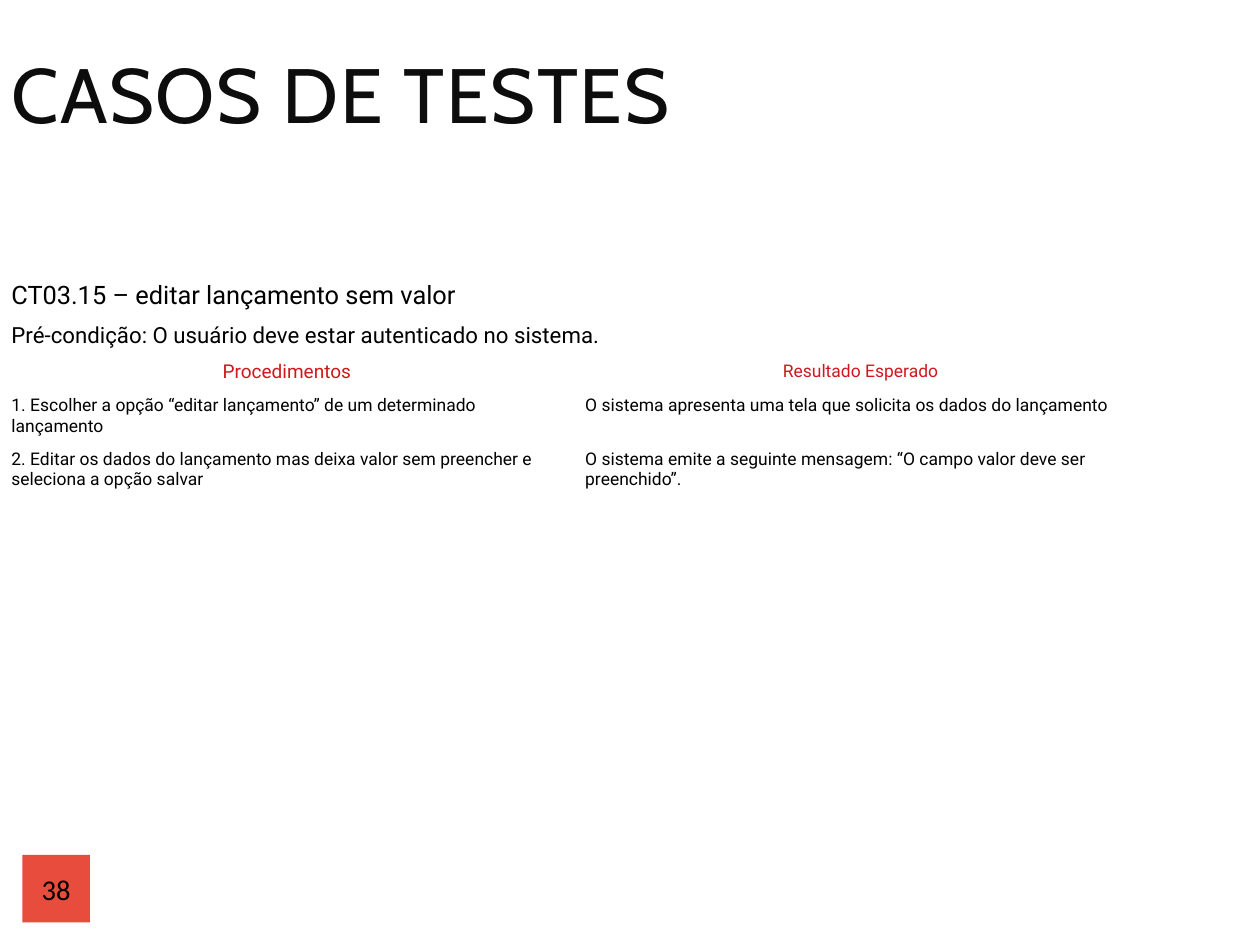
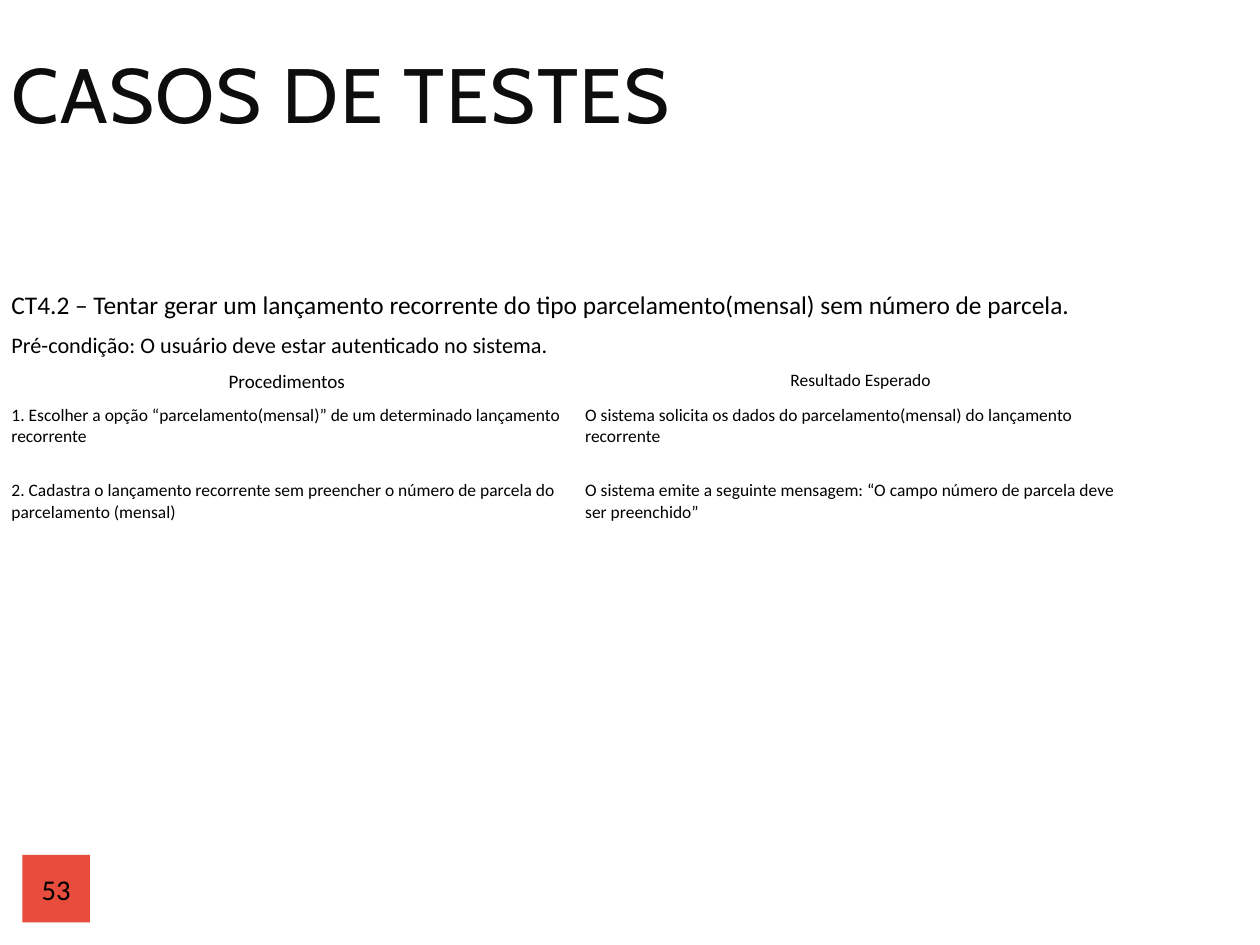
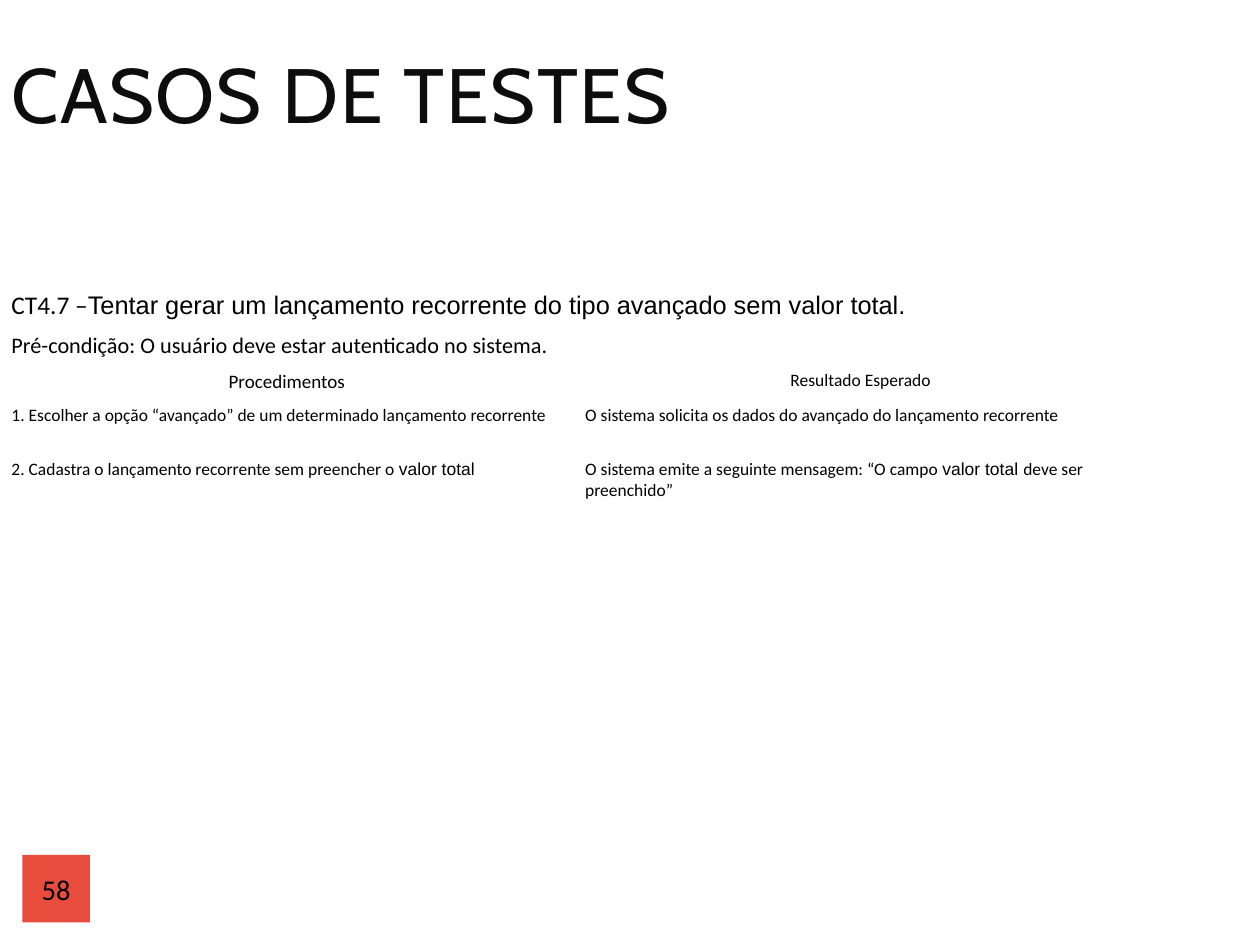
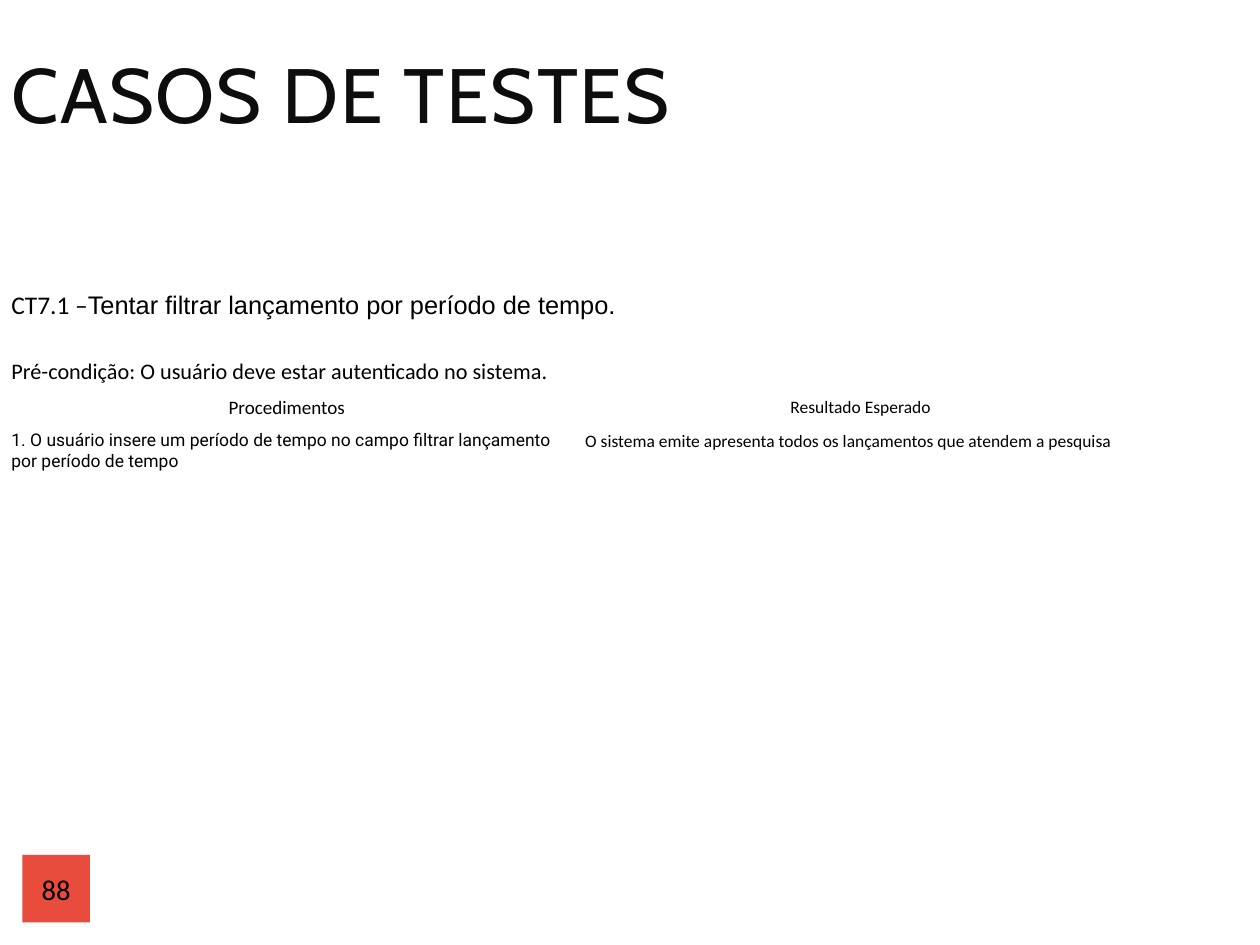
import pptx
import pptx.dml.color
import pptx.enum.shapes
import pptx.enum.text
import pptx.util

Cm, Pt = pptx.util.Cm, pptx.util.Pt
ALIGN = pptx.enum.text.PP_ALIGN
MIDDLE = pptx.enum.text.MSO_ANCHOR.MIDDLE

COLORS = {"badge": "E74C3C", "title": "0D0D0D", "text": "000000", "accent": "CE181E"}
TITLE = "CASOS DE TESTES"
PRECONDITION = "Pré-condição: O usuário deve estar autenticado no sistema."
HEADERS = [("Procedimentos", 12), ("Resultado Esperado", 11)]

# Boxes in cm: left, top, width, height
TITLE_BOX = (0, 1, 26, 2.5)
BADGE_BOX = (0.5, 19, 1.5, 1.5)
TABLE_LEFT, TABLE_WIDTH = 0, 25.5
PRECONDITION_HEIGHT, HEADER_HEIGHT = 0.8, 0.75

# Text is a list of (text, font) runs; a plain string takes the font of its case.
# Each step is (procedure, expected result, row height in cm).
CASES = [
    {"number": "38", "font": "Roboto", "header_color": "accent",
     "top": 6.12, "heading_height": 0.9, "heading_spacing": 1.0,
     "heading": "CT03.15 – editar lançamento sem valor",
     "steps": [
         ("1. Escolher a opção “editar lançamento” de um determinado lançamento",
          "O sistema apresenta uma tela que solicita os dados do lançamento", 1.17),
         ("2. Editar os dados do lançamento mas deixa valor sem preencher e "
          "seleciona a opção salvar",
          "O sistema emite a seguinte mensagem: “O campo valor deve ser preenchido”.", 1.65)]},
    {"number": "53", "font": "Calibri", "header_color": "text",
     "top": 6.35, "heading_height": 0.9, "heading_spacing": 0.94,
     "heading": "CT4.2 – Tentar gerar um lançamento recorrente do tipo "
                "parcelamento(mensal) sem número de parcela.",
     "steps": [
         ("1. Escolher a opção “parcelamento(mensal)” de um determinado lançamento recorrente",
          "O sistema solicita os dados do parcelamento(mensal) do lançamento recorrente", 1.68),
         ("2. Cadastra o lançamento recorrente sem preencher o número de parcela do "
          "parcelamento (mensal)",
          "O sistema emite a seguinte mensagem: “O campo número de parcela deve ser "
          "preenchido”", 1.68)]},
    {"number": "58", "font": "Calibri", "header_color": "text",
     "top": 6.35, "heading_height": 0.9, "heading_spacing": 0.94,
     "heading": [("CT4.7 –", "Calibri"),
                 ("Tentar gerar um lançamento recorrente do tipo avançado sem valor total.",
                  "Arial")],
     "steps": [
         ("1. Escolher a opção “avançado” de um determinado lançamento recorrente",
          "O sistema solicita os dados do avançado do lançamento recorrente", 1.2),
         ([("2. Cadastra o lançamento recorrente sem preencher o ", "Calibri"),
           ("valor total", "Arial")],
          [("O sistema emite a seguinte mensagem: “O campo ", "Calibri"),
           ("valor total ", "Arial"), ("deve ser preenchido”", "Calibri")], 1.68)]},
    {"number": "88", "font": "Calibri", "header_color": "text",
     "top": 6.35, "heading_height": 1.48, "heading_spacing": 0.94,
     "heading": [("CT7.1 –", "Calibri"),
                 ("Tentar filtrar lançamento por período de tempo.", "Arial")],
     "steps": [
         ([("1. O usuário insere um período de tempo no campo filtrar lançamento por "
            "período de tempo", "Roboto")],
          "O sistema emite apresenta todos os lançamentos que atendem a pesquisa", 1.36)]},
]


def rgb(name):
    return pptx.dml.color.RGBColor.from_string(COLORS[name])


def write(p, content, font, size, color="text", align=ALIGN.LEFT, spacing=1.0):
    """Fill a paragraph with runs of one size and colour."""
    p.alignment = align
    p.line_spacing = spacing
    for text, name in [(content, font)] if isinstance(content, str) else content:
        r = p.add_run()
        r.text = text
        r.font.name, r.font.size = name, Pt(size)
        r.font.color.rgb = rgb(color)


def add_badge(s, box, number):
    sp = s.shapes.add_shape(pptx.enum.shapes.MSO_SHAPE.RECTANGLE, *map(Cm, box))
    sp.shadow.inherit = False
    sp.fill.solid()
    sp.fill.fore_color.rgb = rgb("badge")
    sp.line.fill.background()
    tf = sp.text_frame
    tf.margin_left = tf.margin_right = tf.margin_top = tf.margin_bottom = 0
    tf.vertical_anchor = MIDDLE
    write(tf.paragraphs[0], number, "Calibri", 18, align=ALIGN.CENTER)


def add_title(s, box):
    tf = s.shapes.add_textbox(*map(Cm, box)).text_frame
    tf.word_wrap = True
    tf.vertical_anchor = MIDDLE
    p = tf.paragraphs[0]
    write(p, TITLE, "Cabin", 48.5, "title", spacing=0.8)
    p.runs[0].font._element.set("spc", "110")  # letter spacing


def add_case_table(s, left, width, case):
    heights = [case["heading_height"], PRECONDITION_HEIGHT, HEADER_HEIGHT]
    heights += [step[2] for step in case["steps"]]
    table = s.shapes.add_table(len(heights), 2, Cm(left), Cm(case["top"]),
                               Cm(width), Cm(sum(heights))).table
    table.first_row = table.horz_banding = False
    for column in table.columns:
        column.width = Cm(width / 2)
    for row, height in zip(table.rows, heights):
        row.height = Cm(height)
        for cell in row.cells:
            cell.fill.background()

    def put(row, col, content, size, **style):
        p = table.cell(row, col).text_frame.paragraphs[0]
        write(p, content, case["font"], size, **style)

    # Heading and precondition span both columns
    for row in (0, 1):
        table.cell(row, 0).merge(table.cell(row, 1))
    put(0, 0, case["heading"], 16, spacing=case["heading_spacing"])
    put(1, 0, PRECONDITION, 14)
    # Column headers
    for col, (text, size) in enumerate(HEADERS):
        put(2, col, text, size, color=case["header_color"], align=ALIGN.CENTER)
    # Steps
    for row, step in enumerate(case["steps"], 3):
        for col in (0, 1):
            put(row, col, step[col], 11)


def add_case_slide(prs, case):
    s = prs.slides.add_slide(prs.slide_layouts[6])
    add_badge(s, BADGE_BOX, case["number"])
    add_title(s, TITLE_BOX)
    add_case_table(s, TABLE_LEFT, TABLE_WIDTH, case)


def main():
    prs = pptx.Presentation()
    prs.slide_width, prs.slide_height = Cm(28), Cm(21)
    for case in CASES:
        add_case_slide(prs, case)
    prs.save("out.pptx")


if __name__ == "__main__":
    main()
